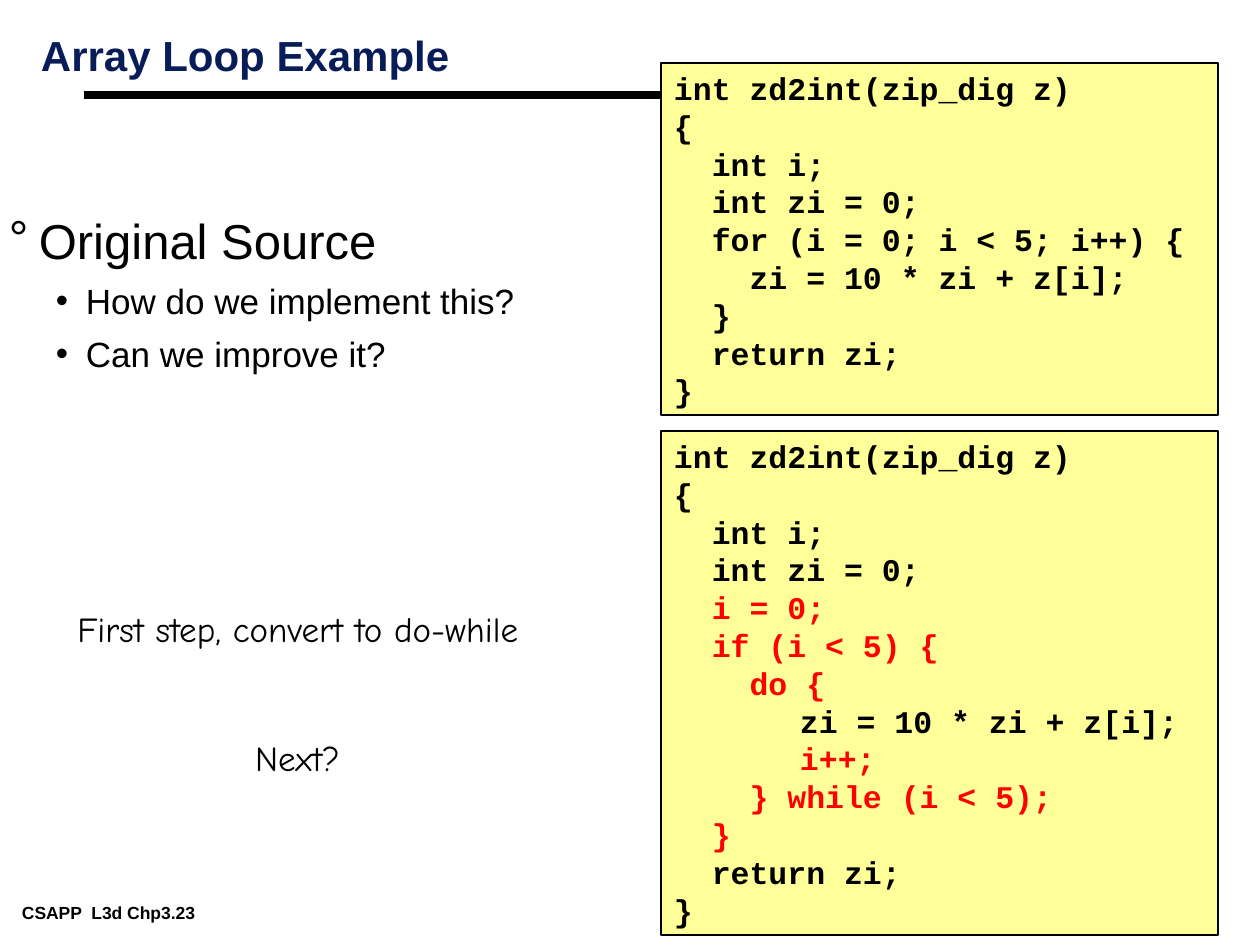
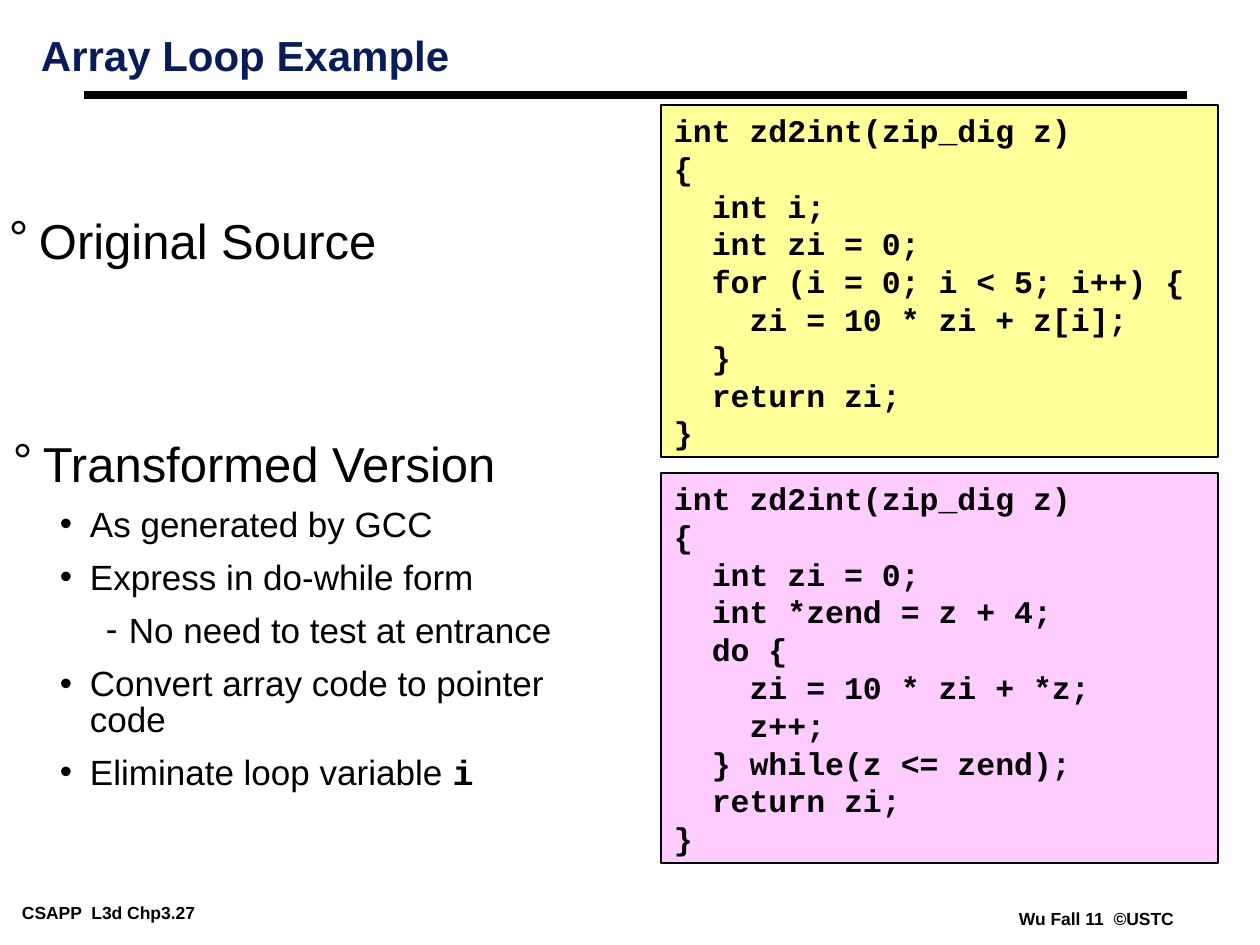
from lxml import etree
from pptx import Presentation
from pptx.dml.color import RGBColor
from pptx.enum.shapes import MSO_CONNECTOR, MSO_SHAPE
from pptx.enum.text import MSO_ANCHOR, PP_ALIGN
from pptx.oxml.ns import qn
from pptx.util import Emu, Pt

RECT = MSO_SHAPE.RECTANGLE
STRAIGHT = MSO_CONNECTOR.STRAIGHT
TOP = MSO_ANCHOR.TOP
LEFT, CENTER = PP_ALIGN.LEFT, PP_ALIGN.CENTER

BLACK, NAVY, RED = "000000", "081D58", "FF0000"
YELLOW, PINK = "FFFF99", "FFCCFF"
NARROW, NOTE_INSET, WIDE = (9, 4), (6, 6), (13, 6)

TITLE = {"name": "Arial", "size": Pt(24), "bold": True}
FOOTER = {"name": "Arial", "size": Pt(10), "bold": True}
CODE = {"name": "Courier New", "size": Pt(18), "bold": True}
INLINE_CODE = {"name": "Courier New", "size": Pt(20), "bold": True}
NOTE = {"name": "Comic Neue", "size": Pt(20)}

LEVELS = [
    {"bullet": "°", "left": 30, "hang": 30, "size": 28, "line": 0.75, "before": 22.8},
    {"bullet": "•", "left": 77, "hang": 30, "size": 20, "line": 0.85, "before": 10},
    {"bullet": "-", "left": 116, "hang": 23, "size": 20, "line": 0.85, "before": 10},
]

FOR_LOOP = """int zd2int(zip_dig z)
{
  int i;
  int zi = 0;
  for (i = 0; i < 5; i++) {
    zi = 10 * zi + z[i];
  }
  return zi;
}"""

DO_WHILE = """int zd2int(zip_dig z)
{
  int i;
  int zi = 0;
  i = 0;
  if (i < 5) {
    do {
\tzi = 10 * zi + z[i];
\ti++;
    } while (i < 5);
  }
  return zi;
}"""
DO_WHILE_CHANGES = {4, 5, 6, 8, 9, 10}

POINTER_LOOP = """int zd2int(zip_dig z)
{
  int zi = 0;
  int *zend = z + 4;
  do {
    zi = 10 * zi + *z;
    z++;
  } while(z <= zend);
  return zi;
}"""


def px(n):
    return Emu(round(n * 914400 / 126))


def color(hex_value):
    return RGBColor.from_string(hex_value)


def setup_frame(tf, inset, wrap=True):
    side, end = inset
    values = {"margin_left": px(side), "margin_right": px(side),
              "margin_top": px(end), "margin_bottom": px(end),
              "word_wrap": wrap, "vertical_anchor": TOP}
    for name, value in values.items():
        setattr(tf, name, value)


def add_run(p, text, style, ink=BLACK):
    r = p.add_run()
    r.text = text
    for name, value in style.items():
        setattr(r.font, name, value)
    r.font.color.rgb = color(ink)


def paragraphs(tf, items):
    for i, item in enumerate(items):
        yield i, tf.paragraphs[0] if i == 0 else tf.add_paragraph(), item


def add_frame(slide, box, inset, wrap=True):
    tf = slide.shapes.add_textbox(*map(px, box)).text_frame
    setup_frame(tf, inset, wrap)
    return tf


def add_label(slide, box, text, style, inset=NARROW, ink=BLACK, align=LEFT,
              line=1.0, wrap=False):
    p = add_frame(slide, box, inset, wrap).paragraphs[0]
    p.alignment = align
    p.line_spacing = line
    add_run(p, text, style, ink)


def add_note(slide, box, text):
    add_label(slide, box, text, NOTE, NOTE_INSET, align=CENTER, line=0.9)


def add_base(prs, page):
    slide = prs.slides.add_slide(prs.slide_layouts[6])
    add_label(slide, (13, 898, 256, 28), f"CSAPP  L3d Chp3.{page}", FOOTER)
    rule = slide.shapes.add_connector(STRAIGHT, px(84), px(95), px(1187), px(95))
    rule.line.color.rgb = color(BLACK)
    rule.line.width = Pt(4.5)
    etree.SubElement(rule._element.spPr, qn("a:effectLst"))
    add_label(slide, (32, 32, 1018, 79), "Array Loop Example", TITLE,
              ink=NAVY, line=0.87, wrap=True)
    return slide


def add_code(slide, top, height, source, fill=YELLOW, changed=()):
    sp = slide.shapes.add_shape(RECT, px(661), px(top), px(557), px(height))
    sp.shadow.inherit = False
    sp.fill.solid()
    sp.fill.fore_color.rgb = color(fill)
    sp.line.color.rgb = color(BLACK)
    sp.line.width = Pt(1)
    setup_frame(sp.text_frame, WIDE)
    for i, p, text in paragraphs(sp.text_frame, source.split("\n")):
        p.alignment = LEFT
        tabs = etree.SubElement(p._p.get_or_add_pPr(), qn("a:tabLst"))
        etree.SubElement(tabs, qn("a:tab"), pos=str(px(126)), algn="l")
        add_run(p, text, CODE, RED if i in changed else BLACK)


def add_bullets(slide, box, items, inset=NARROW):
    tf = add_frame(slide, box, inset)
    for i, p, (level, text, *code) in paragraphs(tf, items):
        look = LEVELS[level]
        p.level = level
        pPr = p._p.get_or_add_pPr()
        pPr.set("marL", str(px(look["left"])))
        pPr.set("indent", str(-px(look["hang"])))
        etree.SubElement(pPr, qn("a:buFont"), typeface="Arial")
        etree.SubElement(pPr, qn("a:buChar"), char=look["bullet"])
        p.line_spacing = look["line"]
        if i:
            p.space_before = Pt(look["before"])
        add_run(p, text, {"name": "Arial", "size": Pt(look["size"])})
        for word in code:
            add_run(p, word, INLINE_CODE)


def build_do_while_slide(prs):
    slide = add_base(prs, 23)
    add_code(slide, 63, 352, FOR_LOOP)
    add_bullets(slide, (0, 220, 640, 400), [
        (0, "Original Source"),
        (1, "How do we implement this?"),
        (1, "Can we improve it?"),
    ])
    add_note(slide, (70, 606, 456, 50), "First step, convert to do-while")
    add_code(slide, 431, 504, DO_WHILE, changed=DO_WHILE_CHANGES)
    add_note(slide, (249, 735, 97, 50), "Next?")


def build_pointer_slide(prs):
    slide = add_base(prs, 27)
    add_label(slide, (1010, 904, 174, 28), "Wu Fall 11  ©USTC", FOOTER)
    add_code(slide, 105, 352, FOR_LOOP)
    add_bullets(slide, (0, 220, 597, 101), [(0, "Original Source")])
    add_code(slide, 473, 390, POINTER_LOOP, PINK)
    add_bullets(slide, (0, 441, 630, 441), [
        (0, "Transformed Version"),
        (1, "As generated by GCC"),
        (1, "Express in do-while form"),
        (2, "No need to test at entrance"),
        (1, "Convert array code to pointer code"),
        (1, "Eliminate loop variable ", "i"),
    ], WIDE)


def main():
    prs = Presentation()
    prs.slide_width, prs.slide_height = px(1260), px(945)
    build_do_while_slide(prs)
    build_pointer_slide(prs)
    prs.save("out.pptx")


if __name__ == "__main__":
    main()
